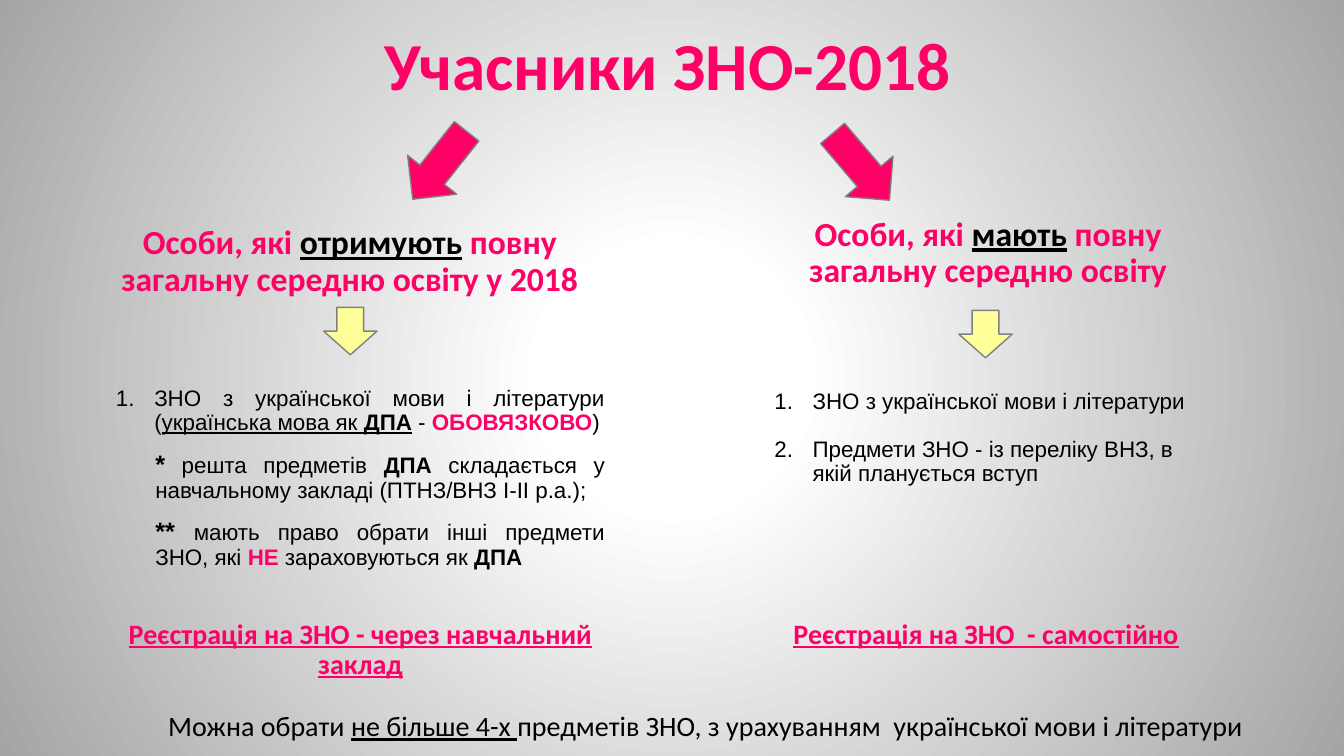
from pptx import Presentation
from pptx.dml.color import RGBColor
from pptx.enum.shapes import MSO_SHAPE as Shape
from pptx.enum.text import MSO_ANCHOR as Anchor, MSO_AUTO_SIZE as AutoSize, PP_ALIGN as Align
from pptx.oxml import parse_xml
from pptx.oxml.ns import nsdecls
from pptx.util import Inches, Pt

PINK, BLACK, YELLOW, GREY = "FF0066", "000000", "FFFF99", "808080"
BACKGROUND = [(0, "FFFFFF"), (17, "FFFFFF"), (100, "A5A5A5")]

# Content. Run: (text, flags[, size]); flags: b bold, u underlined, p pink
TITLE = [("Учасники ЗНО-2018", "bp")]
HEADINGS = [
    ((1.05, 2.19, 4.84, 1.45), [("Особи, які ", "bp"), ("отримують", "bu"),
                                (" повну загальну середню освіту у 2018", "bp")]),
    ((7.46, 2.11, 4.68, 0.78), [("Особи, які ", "bp"), ("мають", "bu"),
                                (" повну загальну середню освіту", "bp")]),
]
# Lists: box, alignment, gap in points, [(numbered, runs)]
LISTS = [
    ((1.05, 3.79, 5.05, 2.54), Align.JUSTIFY, 11.5, [
        (True, [("ЗНО з української мови і літератури (", ""),
                ("українська мова як ", "u"), ("ДПА", "bu"), (" - ", ""),
                ("ОБОВЯЗКОВО", "bp"), (")", "")]),
        (False, [("*", "b", 18), (" решта предметів ", ""), ("ДПА", "b"),
                 (" складається у навчальному закладі (ПТНЗ/ВНЗ І-ІІ р.а.);", "")]),
        (False, [("** ", "b", 18), ("мають право обрати інші предмети ЗНО, які ", ""),
                 ("НЕ", "bp"), (" зараховуються як ", ""), ("ДПА", "b")]),
    ]),
    ((7.58, 3.82, 4.39, 2.27), Align.LEFT, 17, [
        (True, [("ЗНО з української мови і літератури", "")]),
        (True, [("Предмети ЗНО - із переліку ВНЗ, в якій планується вступ", "")]),
    ]),
]
REGISTRATION = [
    ((1.05, 6.1, 5.05, 1.45), [("Реєстрація на ЗНО - через навчальний заклад", "bup")]),
    ((7.36, 6.1, 4.84, 1.45), [("Реєстрація на ЗНО  - самостійно", "bup")]),
]
LIMIT = [("Можна обрати ", ""), ("не більше 4-х ", "u"),
         ("предметів ЗНО, з урахуванням  української мови і літератури", "")]
# Arrows: box, rotation, fill
ARROWS = [
    ((4.05, 1.21, 0.62, 0.86), 38.4, PINK),
    ((8.23, 1.22, 0.62, 0.87), 319.6, PINK),
    ((3.21, 3.05, 0.53, 0.47), 0, YELLOW),
    ((9.51, 3.08, 0.53, 0.47), 0, YELLOW),
]


def color(value):
    return RGBColor.from_string(value)


def place(shape, box):
    shape.left, shape.top, shape.width, shape.height = map(Inches, box)
    frame = shape.text_frame
    frame.word_wrap = True
    frame.auto_size = AutoSize.NONE
    frame.vertical_anchor = Anchor.TOP
    return frame


def write(paragraph, runs, size, font, align, spacing=0.9, before=0):
    paragraph.alignment = align
    paragraph.line_spacing = spacing
    paragraph.space_before = Pt(before)
    for text, flags, *own_size in runs:
        run = paragraph.add_run()
        run.text = text
        run.font.name = font
        run.font.size = Pt(own_size[0] if own_size else size)
        run.font.bold = "b" in flags
        run.font.underline = "u" in flags
        run.font.color.rgb = color(PINK if "p" in flags else BLACK)


def number(paragraph, numbered):
    props = paragraph._p.get_or_add_pPr()
    props.set("marL", str(Inches(0.38 if numbered else 0.39)))
    props.set("indent", str(Inches(-0.38 if numbered else 0)))
    bullet = ('<a:buFont %s typeface="+mj-lt"/>', '<a:buAutoNum %s type="arabicPeriod"/>')
    for tag in bullet if numbered else ("<a:buNone %s/>",):
        props.append(parse_xml(tag % nsdecls("a")))


def add_text(box, runs, size, align=Align.CENTER, spacing=0.9):
    frame = place(slide.shapes.add_textbox(0, 0, 0, 0), box)
    write(frame.paragraphs[0], runs, size, "Calibri", align, spacing)


deck = Presentation()
deck.slide_width, deck.slide_height = Inches(13.33), Inches(7.5)
slide = deck.slides.add_slide(deck.slide_layouts[3])

# Radial background
slide.background.fill.gradient()
gradient = slide.background._cSld.bg.bgPr[0]
stops = "".join(f'<a:gs pos="{pos * 1000}"><a:srgbClr val="{shade}"/></a:gs>'
                for pos, shade in BACKGROUND)
gradient.getparent().replace(gradient, parse_xml(
    f'<a:gradFill {nsdecls("a")} rotWithShape="1"><a:gsLst>{stops}</a:gsLst>'
    '<a:path path="circle"><a:fillToRect l="50000" t="50000" r="50000" b="50000"/>'
    '</a:path></a:gradFill>'))

# Title
title, *list_holders = slide.placeholders
write(place(title, (2.32, 0.27, 8.6, 1.45)).paragraphs[0], TITLE, 48, "Calibri", Align.CENTER)

# Column headings
for box, runs in HEADINGS:
    add_text(box, runs, 24)

# Lists
for holder, (box, align, gap, items) in zip(list_holders, LISTS):
    frame = place(holder, box)
    for i, (numbered, runs) in enumerate(items):
        item = frame.add_paragraph() if i else frame.paragraphs[0]
        number(item, numbered)
        write(item, runs, 16, "Arial", align, before=gap if i else 0)

# Registration and limit lines
for box, runs in REGISTRATION:
    add_text(box, runs, 20)
add_text((1.57, 6.98, 11.29, 0.44), LIMIT, 20, Align.LEFT, 1.0)

# Arrows
for box, rotation, fill in ARROWS:
    arrow = slide.shapes.add_shape(Shape.DOWN_ARROW, *map(Inches, box))
    arrow.rotation = rotation
    arrow.shadow.inherit = False
    arrow.fill.solid()
    arrow.fill.fore_color.rgb = color(fill)
    arrow.line.color.rgb = color(GREY)
    arrow.line.width = Pt(1)

deck.save("out.pptx")
